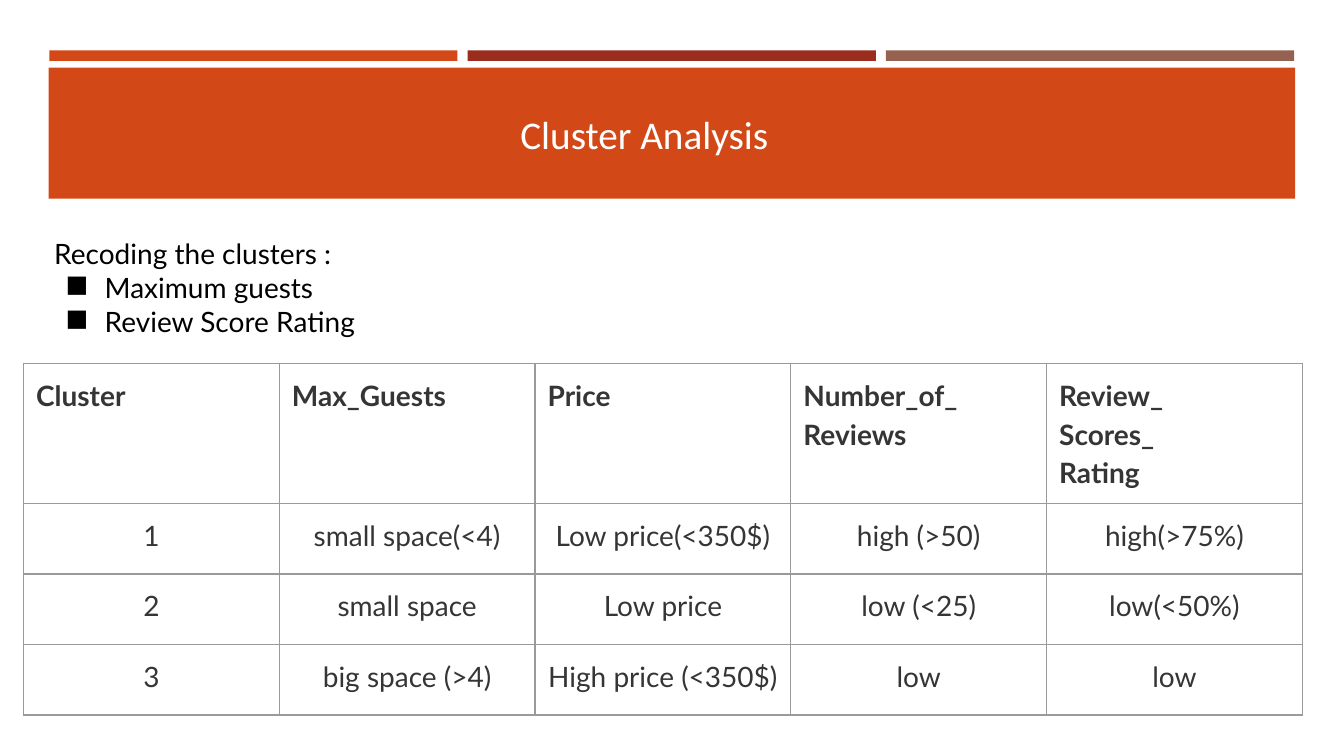
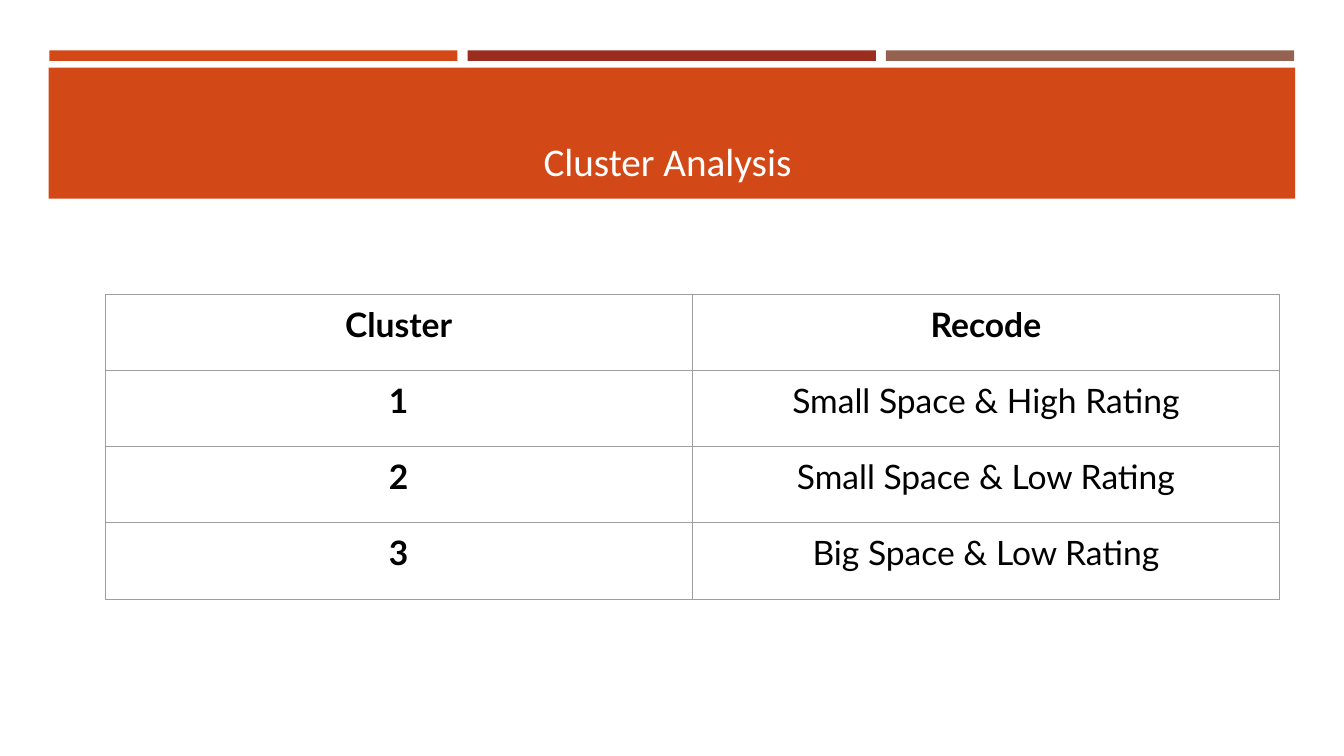
"""Build two cluster analysis slides with a shared banner and bordered tables."""
from dataclasses import dataclass

import lxml.etree
import pptx
import pptx.dml.color
import pptx.enum.shapes
import pptx.enum.text
import pptx.oxml.ns
import pptx.slide
import pptx.text.text
import pptx.util

Pt = pptx.util.Pt
RGBColor = pptx.dml.color.RGBColor
Align = pptx.enum.text.PP_ALIGN
Anchor = pptx.enum.text.MSO_ANCHOR
qn = pptx.oxml.ns.qn

ORANGE = RGBColor(0xD3, 0x48, 0x17)
RED = RGBColor(0x9B, 0x2D, 0x1F)
BROWN = RGBColor(0x95, 0x62, 0x51)
WHITE = RGBColor(0xFF, 0xFF, 0xFF)
BLACK = RGBColor(0x00, 0x00, 0x00)
CHARCOAL = RGBColor(0x35, 0x35, 0x35)
GREY = RGBColor(0x9A, 0x9A, 0x9A)
LIGHT_GREY = RGBColor(0x9E, 0x9E, 0x9E)

TITLE_FONT = "Calibri"
BODY_FONT = "Lato"
BAR_LEFT, BAR_PITCH, BAR_WIDTH = 35.2, 298.8, 291.6


@dataclass(frozen=True)
class Frame:
    """Position and size in points."""
    left: float
    top: float
    width: float
    height: float

    def lengths(self) -> tuple:
        """Return the four lengths for a python-pptx call."""
        return Pt(self.left), Pt(self.top), Pt(self.width), Pt(self.height)


@dataclass(frozen=True)
class Grid:
    """A table with its place, contents and style."""
    frame: Frame
    rows: list[list[str]]
    row_heights: list[float]
    size: float
    color: RGBColor
    border: RGBColor
    border_width: float
    side_margin: float
    header_margin: float
    header_align: Align
    line_spacing: float
    bold_first_column: bool


CLUSTERS = Grid(
    frame=Frame(16.8, 259.6, 913.5, 251.2),
    rows=[
        ["Cluster", "Max_Guests", "Price", "Number_of_\nReviews", "Review_\nScores_\nRating"],
        ["1", "small space(<4)", "Low price(<350$)", "high (>50)", "high(>75%)"],
        ["2", "small space", "Low price", "low (<25)", "low(<50%)"],
        ["3", "big space (>4)", "High price (<350$)", "low", "low"],
    ],
    row_heights=[100, 50.4, 50.4, 50.4],
    size=20, color=CHARCOAL, border=GREY, border_width=1,
    side_margin=5, header_margin=9, header_align=Align.LEFT,
    line_spacing=1.15, bold_first_column=False,
)
RECODES = Grid(
    frame=Frame(75, 210, 839, 218),
    rows=[
        ["Cluster", "Recode"],
        ["1", "Small Space & High Rating"],
        ["2", "Small Space & Low Rating"],
        ["3", "Big Space & Low Rating"],
    ],
    row_heights=[54.5] * 4,
    size=24, color=BLACK, border=LIGHT_GREY, border_width=0.75,
    side_margin=7.2, header_margin=7.2, header_align=Align.CENTER,
    line_spacing=1, bold_first_column=True,
)


def write_text(frame: pptx.text.text.TextFrame, text: str, *, size: float, color: RGBColor,
               font: str = BODY_FONT, bold: bool = False, align: Align = Align.LEFT,
               line_spacing: float = 1, bullets_from: int | None = None) -> None:
    """Write one paragraph per line, with bullets from a given line on."""
    for index, line in enumerate(text.split("\n")):
        para = frame.paragraphs[0] if index == 0 else frame.add_paragraph()
        para.alignment = align
        para.line_spacing = line_spacing
        if bullets_from is not None and index >= bullets_from:
            add_bullet(para, color)
        span = para.add_run()
        span.text = line
        span.font.name = font
        span.font.size = Pt(size)
        span.font.bold = bold
        span.font.color.rgb = color


def add_bullet(para: pptx.text.text._Paragraph, color: RGBColor) -> None:
    """Give a paragraph a square bullet and a hanging indent."""
    properties = para._p.get_or_add_pPr()
    properties.set("marL", str(Pt(36)))
    properties.set("indent", str(Pt(-28)))
    bullet_color = lxml.etree.SubElement(properties, qn("a:buClr"))
    lxml.etree.SubElement(bullet_color, qn("a:srgbClr"), val=str(color))
    lxml.etree.SubElement(properties, qn("a:buChar"), char="◼")


def add_box(page: pptx.slide.Slide, frame: Frame, anchor: Anchor = Anchor.TOP,
            right_margin: float = 7.2) -> pptx.text.text.TextFrame:
    """Add a wrapping text box and return its text frame."""
    text_frame = page.shapes.add_textbox(*frame.lengths()).text_frame
    text_frame.word_wrap = True
    text_frame.vertical_anchor = anchor
    text_frame.margin_right = Pt(right_margin)
    return text_frame


def add_block(page: pptx.slide.Slide, frame: Frame, color: RGBColor) -> None:
    """Add a plain filled rectangle."""
    block = page.shapes.add_shape(pptx.enum.shapes.MSO_SHAPE.RECTANGLE, *frame.lengths())
    block.shadow.inherit = False
    block.fill.solid()
    block.fill.fore_color.rgb = color
    block.line.fill.background()


def add_page(deck: pptx.presentation.Presentation, title: str, anchor: Anchor,
             right_margin: float) -> pptx.slide.Slide:
    """Add a blank page with the three bars, the band and its title."""
    page = deck.slides.add_slide(deck.slide_layouts[6])
    for index, color in enumerate((ORANGE, RED, BROWN)):
        add_block(page, Frame(BAR_LEFT + index * BAR_PITCH, 36, BAR_WIDTH, 7.5), color)
    add_block(page, Frame(34.8, 48.4, 890.4, 93.6), ORANGE)
    title_frame = add_box(page, Frame(46, 55.4, 868.4, 80), anchor, right_margin)
    write_text(title_frame, title, size=28, color=WHITE, font=TITLE_FONT, align=Align.CENTER)
    return page


def add_borders(cell: pptx.table._Cell, color: RGBColor, width: float) -> None:
    """Draw a solid line on all four sides of a cell."""
    properties = cell._tc.get_or_add_tcPr()
    for side in ("lnL", "lnR", "lnT", "lnB"):
        line = lxml.etree.SubElement(properties, qn(f"a:{side}"), w=str(Pt(width)))
        fill = lxml.etree.SubElement(line, qn("a:solidFill"))
        lxml.etree.SubElement(fill, qn("a:srgbClr"), val=str(color))


def add_grid(page: pptx.slide.Slide, grid: Grid) -> None:
    """Add a bordered table with equal columns."""
    column_count = len(grid.rows[0])
    table = page.shapes.add_table(len(grid.rows), column_count, *grid.frame.lengths()).table
    table.first_row = False
    table.horz_banding = False
    for column in table.columns:
        column.width = Pt(grid.frame.width / column_count)
    for row_index, (texts, height) in enumerate(zip(grid.rows, grid.row_heights)):
        table.rows[row_index].height = Pt(height)
        is_header = row_index == 0
        for column_index, text in enumerate(texts):
            cell = table.cell(row_index, column_index)
            add_borders(cell, grid.border, grid.border_width)
            cell.fill.background()
            cell.margin_left = Pt(grid.header_margin if is_header else grid.side_margin)
            cell.margin_right = Pt(grid.side_margin)
            cell.margin_top = cell.margin_bottom = Pt(7.2)
            write_text(cell.text_frame, text, size=grid.size, color=grid.color,
                       bold=is_header or (grid.bold_first_column and column_index == 0),
                       align=grid.header_align if is_header else Align.CENTER,
                       line_spacing=grid.line_spacing)


def main() -> None:
    """Build and save the deck."""
    deck = pptx.Presentation()
    deck.slide_width, deck.slide_height = Pt(960), Pt(540)

    page = add_page(deck, "Cluster Analysis", Anchor.MIDDLE, right_margin=47)
    write_text(add_box(page, Frame(31.7, 165.6, 748.8, 90)),
               "Recoding the clusters :\nMaximum guests\nReview Score Rating",
               size=20, color=BLACK, bullets_from=1)
    add_grid(page, CLUSTERS)

    page = add_page(deck, "Cluster Analysis", Anchor.BOTTOM, right_margin=14)
    add_grid(page, RECODES)

    deck.save("out.pptx")


if __name__ == "__main__":
    main()
